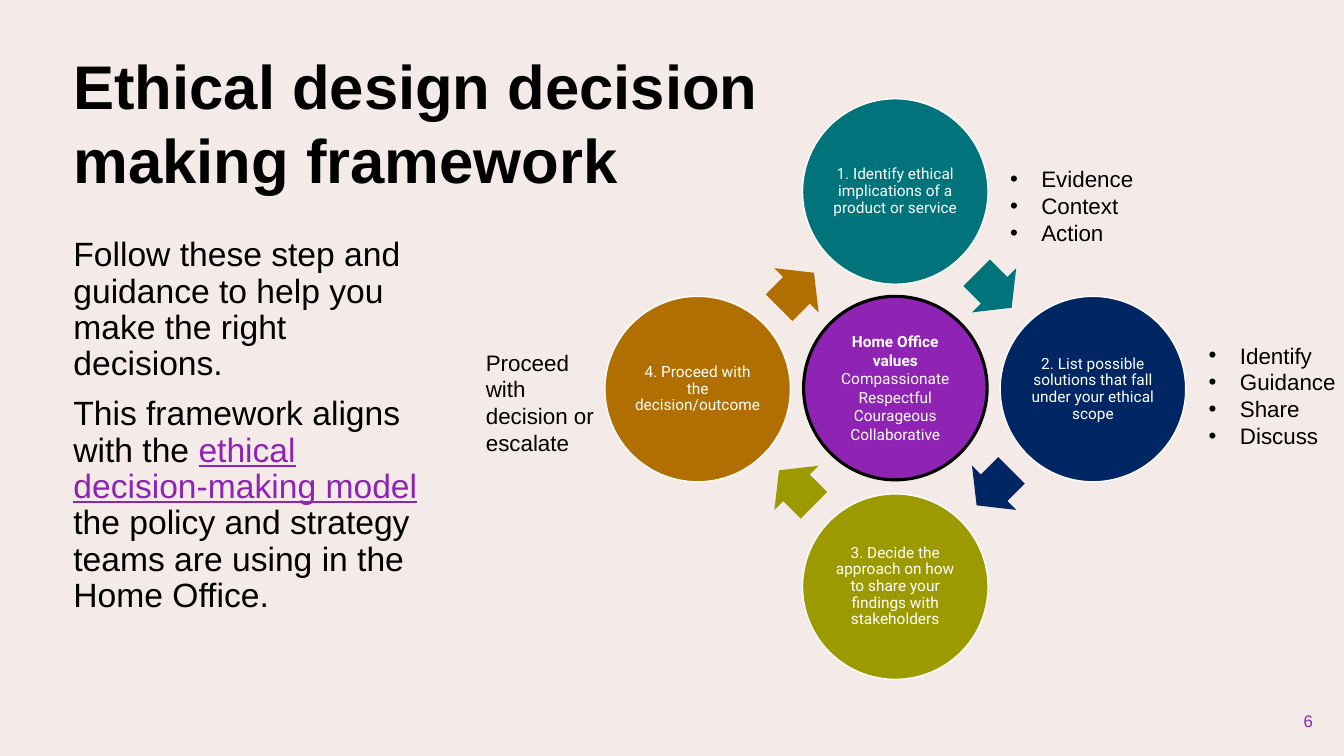
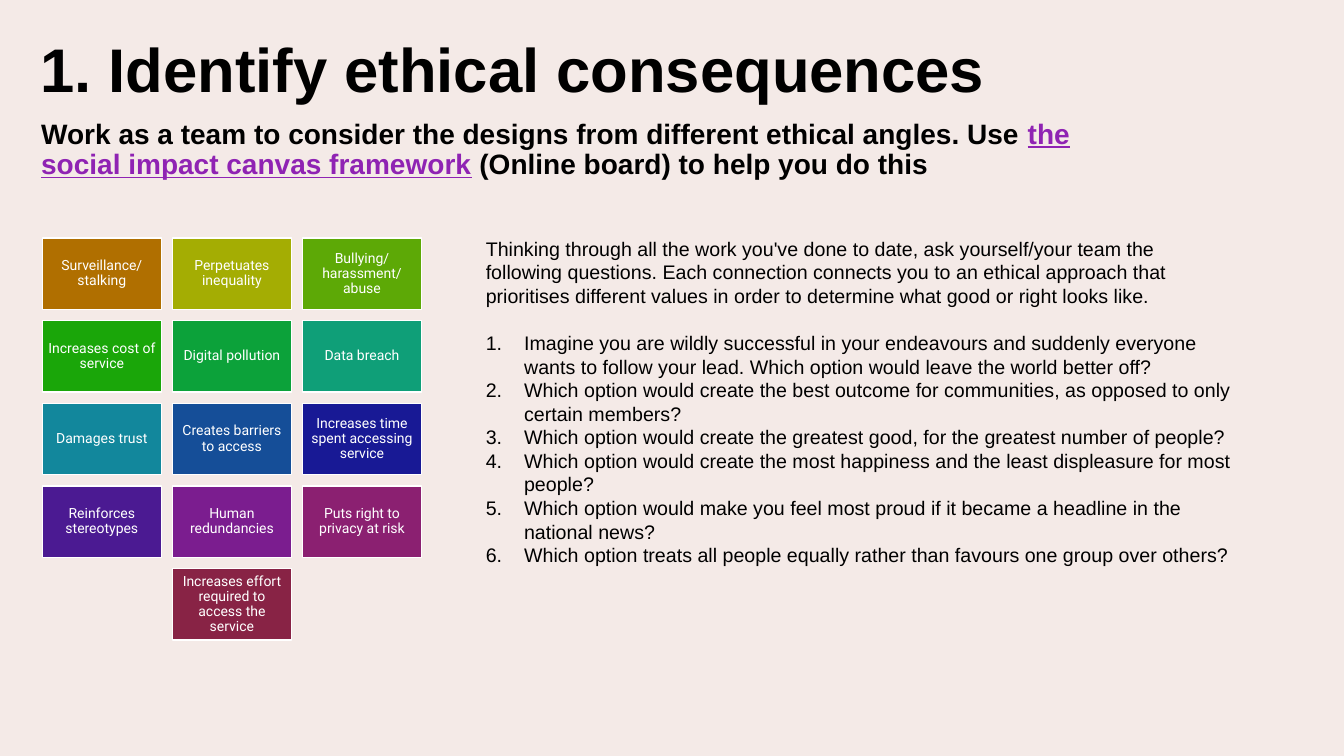
"""Builds two slides on an ethical design decision making framework."""
from dataclasses import dataclass

from lxml import etree
from pptx import Presentation
from pptx.dml.color import RGBColor
from pptx.enum.shapes import MSO_SHAPE
from pptx.enum.text import MSO_ANCHOR, PP_ALIGN
from pptx.oxml.ns import qn
from pptx.util import Inches, Pt

ELLIPSE = MSO_SHAPE.OVAL
RECTANGLE = MSO_SHAPE.RECTANGLE
ARROW = MSO_SHAPE.RIGHT_ARROW
MIDDLE = MSO_ANCHOR.MIDDLE
CENTER = PP_ALIGN.CENTER
RIGHT = PP_ALIGN.RIGHT


@dataclass(frozen=True)
class Theme:
    """Colours, fonts and type sizes shared by the slides."""

    background: str = "F4EAE7"
    ink: str = "000000"
    white: str = "FFFFFF"
    accent: str = "8F23B3"
    font: str = "Arial"
    diagram_font: str = "Roboto"
    title: int = 44
    body: int = 24
    subtitle: int = 20
    label: int = 16
    question: int = 14
    footer: int = 12
    circle: int = 11
    tile: int = 10


THEME = Theme()

CENTER_X, CENTER_Y = 8.88, 3.86
ORBIT = 1.96
CIRCLE_SIZE = 1.84
VALUES_SIZE = 1.82
ARROW_WIDTH, ARROW_HEIGHT = 0.49, 0.62

STEPS = [
    ("1. Identify ethical implications of a product or service", "00747A", (0, -1)),
    ("2. List possible solutions that fall under your ethical scope", "002664", (1, 0)),
    ("3. Decide the approach on how to share your findings with stakeholders", "9C9A00", (0, 1)),
    ("4. Proceed with the decision/outcome", "B06F00", (-1, 0)),
]
VALUES = ["Home Office values", "Compassionate", "Respectful", "Courageous", "Collaborative"]

TILE_LEFT, TILE_TOP = 0.42, 2.36
TILE_WIDTH, TILE_HEIGHT = 1.18, 0.71
TILE_STEP_X, TILE_STEP_Y = 1.29, 0.82
TILE_COLUMNS = 3

CONSEQUENCES = [
    ("Surveillance/ stalking", "B06F00"),
    ("Perpetuates inequality", "A4AD03"),
    ("Bullying/ harassment/ abuse", "5DA906"),
    ("Increases cost of service", "1AA609"),
    ("Digital pollution", "0CA23A"),
    ("Data breach", "0F9F78"),
    ("Damages trust", "12879C"),
    ("Creates barriers to access", "154E98"),
    ("Increases time spent accessing service", "181995"),
    ("Reinforces stereotypes", "4B1A92"),
    ("Human redundancies", "7B1D8F"),
    ("Puts right to privacy at risk", "8B2071"),
    ("Increases effort required to access the service", "882345"),
]
INTRODUCTION = (
    "Thinking through all the work you've done to date, ask yourself/your team the following "
    "questions. Each connection connects you to an ethical approach that prioritises different "
    "values in order to determine what good or right looks like."
)
QUESTIONS = [
    "Imagine you are wildly successful in your endeavours and suddenly everyone wants to follow "
    "your lead. Which option would leave the world better off?",
    "Which option would create the best outcome for communities, as opposed to only certain members?",
    "Which option would create the greatest good, for the greatest number of people?",
    "Which option would create the most happiness and the least displeasure for most people?",
    "Which option would make you feel most proud if it became a headline in the national news?",
    "Which option treats all people equally rather than favours one group over others?",
]


def format_span(span, size, color=THEME.ink, bold=False, font=THEME.font):
    """Set the type of one run."""
    span.font.name = font
    span.font.size = Pt(size)
    span.font.bold = bold
    span.font.color.rgb = RGBColor.from_string(color)


def fill_frame(frame, paragraphs, size, align=None, spacing=None, **style):
    """Write paragraphs of plain text into a text frame."""
    frame.word_wrap = True
    frame.text = "\n".join(paragraphs)
    for para in frame.paragraphs:
        para.alignment = align
        para.line_spacing = spacing
        for span in para.runs:
            format_span(span, size, **style)


def add_text(slide, place, paragraphs, size, anchor=None, **style):
    """Add a text box and return its text frame."""
    frame = slide.shapes.add_textbox(*map(Inches, place)).text_frame
    frame.vertical_anchor = anchor
    fill_frame(frame, paragraphs, size, **style)
    return frame


def add_title(slide, place, text, spacing=None):
    """Add a slide title."""
    add_text(slide, place, [text], THEME.title, MIDDLE, bold=True, spacing=spacing)


def add_linked_span(para, link, rest, size, bold=False):
    """Append a link-styled run and the plain text after it."""
    span = para.add_run()
    span.text = link
    format_span(span, size, THEME.accent, bold)
    span.font.underline = True
    span = para.add_run()
    span.text = rest
    format_span(span, size, bold=bold)


def set_list_marker(para, indent, tag, **attributes):
    """Give a paragraph a hanging bullet or number."""
    properties = para._p.get_or_add_pPr()
    properties.set("marL", str(Inches(indent)))
    properties.set("indent", str(-Inches(indent)))
    if tag == "a:buChar":
        etree.SubElement(properties, qn("a:buFont"), typeface=THEME.font)
    etree.SubElement(properties, qn(tag), **attributes)


def add_bullets(slide, place, items):
    """Add a bulleted list."""
    frame = add_text(slide, place, items, THEME.label)
    for para in frame.paragraphs:
        set_list_marker(para, 0.31, "a:buChar", char="•")


def add_filled_shape(slide, kind, place, color, line=None, line_width=1):
    """Add a flat shape with an optional outline."""
    shape = slide.shapes.add_shape(kind, *map(Inches, place))
    shape.shadow.inherit = False
    shape.fill.solid()
    shape.fill.fore_color.rgb = RGBColor.from_string(color)
    if line:
        shape.line.color.rgb = RGBColor.from_string(line)
        shape.line.width = Pt(line_width)
    else:
        shape.line.fill.background()
    return shape


def add_labelled_shape(slide, kind, place, color, text, size, inset):
    """Add a white-edged shape with centred white text."""
    frame = add_filled_shape(slide, kind, place, color, THEME.white).text_frame
    frame.margin_left = frame.margin_right = Inches(inset)
    frame.margin_top = frame.margin_bottom = Inches(inset)
    frame.vertical_anchor = MIDDLE
    fill_frame(frame, [text], size, CENTER, 0.9, color=THEME.white, font=THEME.diagram_font)


def centered(x, y, width, height):
    """Return the place of a shape around a centre point."""
    return x - width / 2, y - height / 2, width, height


def add_cycle(slide):
    """Draw the four steps, the arrows between them and the central values."""
    for index, (text, color, (across, down)) in enumerate(STEPS):
        place = centered(CENTER_X + ORBIT * across, CENTER_Y + ORBIT * down,
                         CIRCLE_SIZE, CIRCLE_SIZE)
        add_labelled_shape(slide, ELLIPSE, place, color, text, THEME.circle, 0.02)
        next_across, next_down = STEPS[(index + 1) % len(STEPS)][2]
        place = centered(CENTER_X + ORBIT * (across + next_across) / 2,
                         CENTER_Y + ORBIT * (down + next_down) / 2,
                         ARROW_WIDTH, ARROW_HEIGHT)
        arrow = add_filled_shape(slide, ARROW, place, color)
        arrow.adjustments[0] = 0.6
        arrow.adjustments[1] = 0.5
        arrow.rotation = 45 + 90 * index
    place = centered(CENTER_X, CENTER_Y - 0.01, VALUES_SIZE, VALUES_SIZE)
    hub = add_filled_shape(slide, ELLIPSE, place, THEME.accent, THEME.ink, 2.25)
    hub.text_frame.vertical_anchor = MIDDLE
    fill_frame(hub.text_frame, VALUES, THEME.circle, CENTER,
               color=THEME.white, font=THEME.diagram_font)
    hub.text_frame.paragraphs[0].runs[0].font.bold = True


def add_consequences(slide):
    """Lay the consequence tiles out in rows, centring the last one."""
    for index, (text, color) in enumerate(CONSEQUENCES):
        row, column = divmod(index, TILE_COLUMNS)
        row_length = min(TILE_COLUMNS, len(CONSEQUENCES) - row * TILE_COLUMNS)
        column += (TILE_COLUMNS - row_length) / 2
        place = (TILE_LEFT + column * TILE_STEP_X, TILE_TOP + row * TILE_STEP_Y,
                 TILE_WIDTH, TILE_HEIGHT)
        add_labelled_shape(slide, RECTANGLE, place, color, text, THEME.tile, 0.04)


def build_framework(slide):
    """Build the slide with the decision cycle."""
    add_title(slide, (0.63, 0.61, 8.32, 1.19), "Ethical design decision making framework")
    add_text(slide, (10.12, 6.95, 3, 0.4), ["6"], THEME.footer, MIDDLE,
             align=RIGHT, color=THEME.accent)
    guidance = add_text(slide, (0.63, 2.31, 3.7, 1.29), [
        "Follow these step and guidance to help you make the right decisions.",
        "This framework aligns with the ",
    ], THEME.body, spacing=0.9)
    for para in guidance.paragraphs:
        para.space_before = Pt(10)
    add_linked_span(guidance.paragraphs[1], "ethical decision-making model",
                    " the policy and strategy teams are using in the Home Office.", THEME.body)
    add_cycle(slide)
    add_bullets(slide, (11.89, 3.34, 1.56, 1.18), ["Identify", "Guidance", "Share", "Discuss"])
    add_text(slide, (4.72, 3.41, 1.31, 1.18), ["Proceed with decision or escalate"], THEME.label)
    add_bullets(slide, (9.92, 1.59, 1.8, 0.91), ["Evidence", "Context", "Action"])


def build_consequences(slide):
    """Build the slide with the consequence tiles and questions."""
    add_title(slide, (0.3, 0.3, 12.82, 0.84), "1. Identify ethical consequences", 0.9)
    subtitle = add_text(slide, (0.31, 1.14, 11.26, 0.8), [
        "Work as a team to consider the designs from different ethical angles. Use ",
    ], THEME.subtitle, spacing=0.9, bold=True)
    subtitle.paragraphs[0].space_before = Pt(10)
    add_linked_span(subtitle.paragraphs[0], "the social impact canvas framework",
                    " (Online board) to help you do this", THEME.subtitle, True)
    add_consequences(slide)
    questions = add_text(slide, (4.72, 2.3, 7.6, 3.4), [INTRODUCTION, *QUESTIONS], THEME.question)
    introduction, *numbered = questions.paragraphs
    introduction.space_after = Pt(17)
    for para in numbered:
        set_list_marker(para, 0.38, "a:buAutoNum", type="arabicPeriod")


def main():
    """Build and save the deck."""
    deck = Presentation()
    deck.slide_width, deck.slide_height = Inches(13.33), Inches(7.5)
    background = deck.slide_master.background.fill
    background.solid()
    background.fore_color.rgb = RGBColor.from_string(THEME.background)
    for build in (build_framework, build_consequences):
        build(deck.slides.add_slide(deck.slide_layouts[6]))
    deck.save("out.pptx")


if __name__ == "__main__":
    main()
